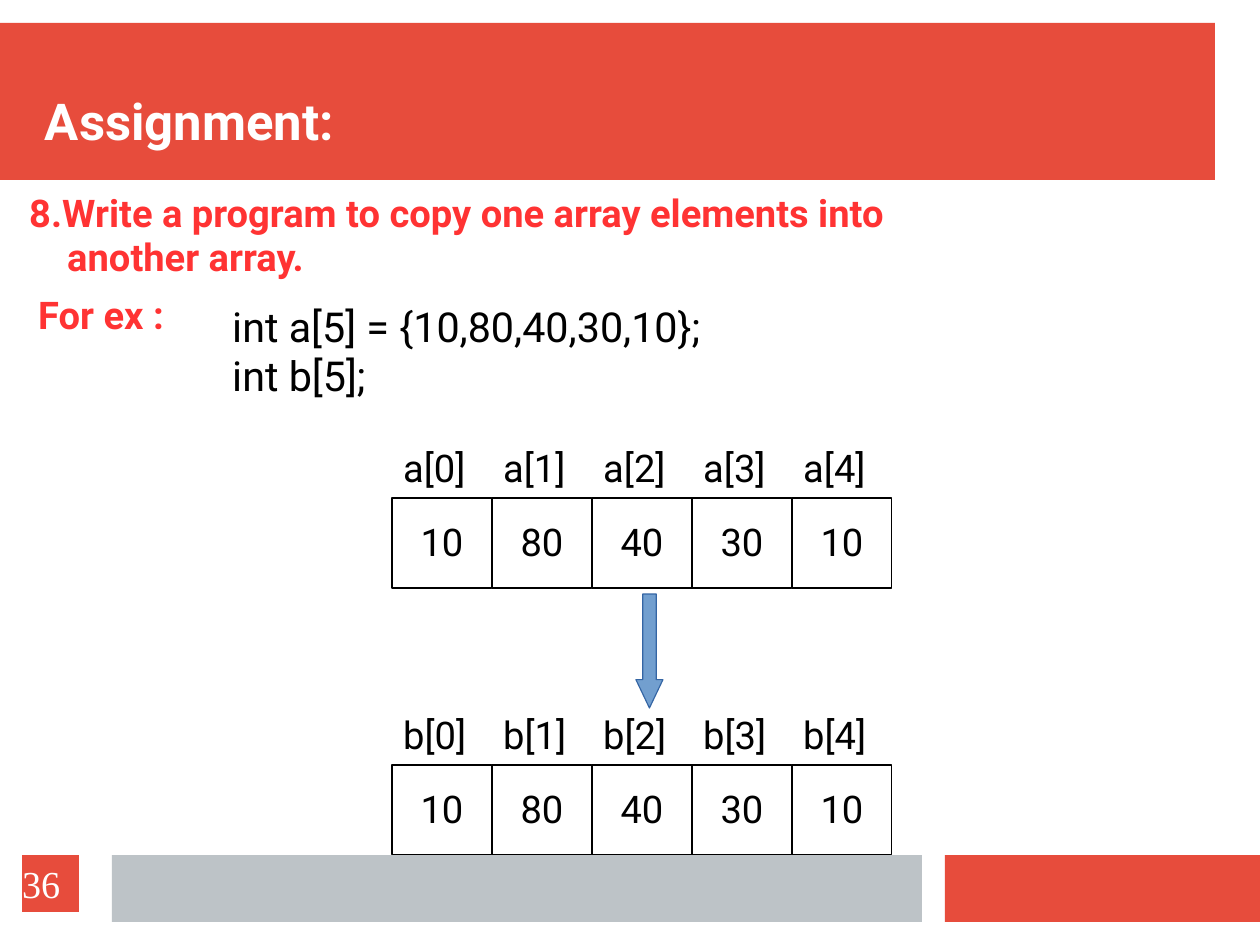
from pptx import Presentation
from pptx.dml.color import RGBColor
from pptx.enum.shapes import MSO_SHAPE
from pptx.enum.text import MSO_ANCHOR, PP_ALIGN
from pptx.util import Pt

PX = 8000
RECT, DOWN_ARROW = MSO_SHAPE.RECTANGLE, MSO_SHAPE.DOWN_ARROW
LEFT, CENTER = PP_ALIGN.LEFT, PP_ALIGN.CENTER
TOP, MIDDLE, BOTTOM = MSO_ANCHOR.TOP, MSO_ANCHOR.MIDDLE, MSO_ANCHOR.BOTTOM
RED, GREY, WHITE, BLACK = "E74C3C", "BDC3C7", "FFFFFF", "000000"
QUESTION_RED = "FF3333"

prs = Presentation()
prs.slide_width, prs.slide_height = 1260 * PX, 945 * PX
s = prs.slides.add_slide(prs.slide_layouts[5])


def add_block(kind, box, fill, line=None):
    """Add a flat preset shape; without a line colour it has no outline."""
    sp = s.shapes.add_shape(kind, *(v * PX for v in box))
    sp.shadow.inherit = False
    sp.fill.solid()
    sp.fill.fore_color.rgb = RGBColor.from_string(fill)
    if line:
        sp.line.color.rgb = RGBColor.from_string(line)
        sp.line.width = Pt(0.75)
    else:
        sp.line.fill.background()
    return sp


def write(sp, text, size=24, color=BLACK, bold=False, font="Roboto",
          align=LEFT, anchor=TOP, spacing=0.97, inset=True):
    tf = sp.text_frame
    tf.word_wrap = True
    tf.vertical_anchor = anchor
    if not inset:
        tf.margin_left = tf.margin_right = tf.margin_top = tf.margin_bottom = 0
    tf.text = text
    for p in tf.paragraphs:
        p.alignment = align
        p.line_spacing = spacing
        for r in p.runs:
            r.font.name = font
            r.font.size = Pt(size)
            r.font.bold = bold
            r.font.color.rgb = RGBColor.from_string(color)


# Banner, footer and title
add_block(RECT, (0, 23, 1215, 157), RED)
add_block(RECT, (945, 855, 315, 67), RED)
add_block(RECT, (112, 855, 810, 67), GREY)

title = s.shapes.title
title.left, title.top, title.width, title.height = (
    v * PX for v in (45, 45, 1165, 107))
write(title, "Assignment:", size=32, color=WHITE, bold=True,
      anchor=BOTTOM, inset=False)
s.shapes.element.append(title.element)  # in front of the banner

# Question and code
texts = [
    ((18, 186, 1093, 102),
     "8.Write a program to copy one array elements into\nanother array.",
     dict(color=QUESTION_RED, bold=True)),
    ((27, 288, 198, 57), "For ex :", dict(color=QUESTION_RED, bold=True)),
    ((221, 299, 616, 109), "int a[5] = {10,80,40,30,10};\nint b[5];",
     dict(size=26)),
]
boxes = []
for box, text, style in texts:
    sp = s.shapes.add_textbox(*(v * PX for v in box))
    write(sp, text, **style)
    boxes.append(sp)
continuation = boxes[0].text_frame.paragraphs[1]
continuation._p.get_or_add_pPr().set("marL", str(38 * PX))

# Both arrays, with index labels above the cells
CELL_W, CELL_H, LABEL_H = 100, 90, 57
for name, label_top in (("a", 441), ("b", 708)):
    for i, value in enumerate((10, 80, 40, 30, 10)):
        left = 392 + i * CELL_W
        cell = add_block(RECT, (left, label_top + LABEL_H, CELL_W, CELL_H),
                         WHITE, BLACK)
        write(cell, str(value), align=CENTER, anchor=MIDDLE)
        label = s.shapes.add_textbox(left * PX, label_top * PX,
                                     CELL_W * PX, LABEL_H * PX)
        write(label, f"{name}[{i}]")

arrow = add_block(DOWN_ARROW, (636, 594, 27, 114), "729FCF", "3465A4")
arrow.adjustments[0] = 0.5
arrow.adjustments[1] = 1.05

page = add_block(RECT, (22, 855, 57, 57), RED)
write(page, "36", color=WHITE, font="Times New Roman", anchor=MIDDLE,
      spacing=1.0, inset=False)

prs.save("out.pptx")
